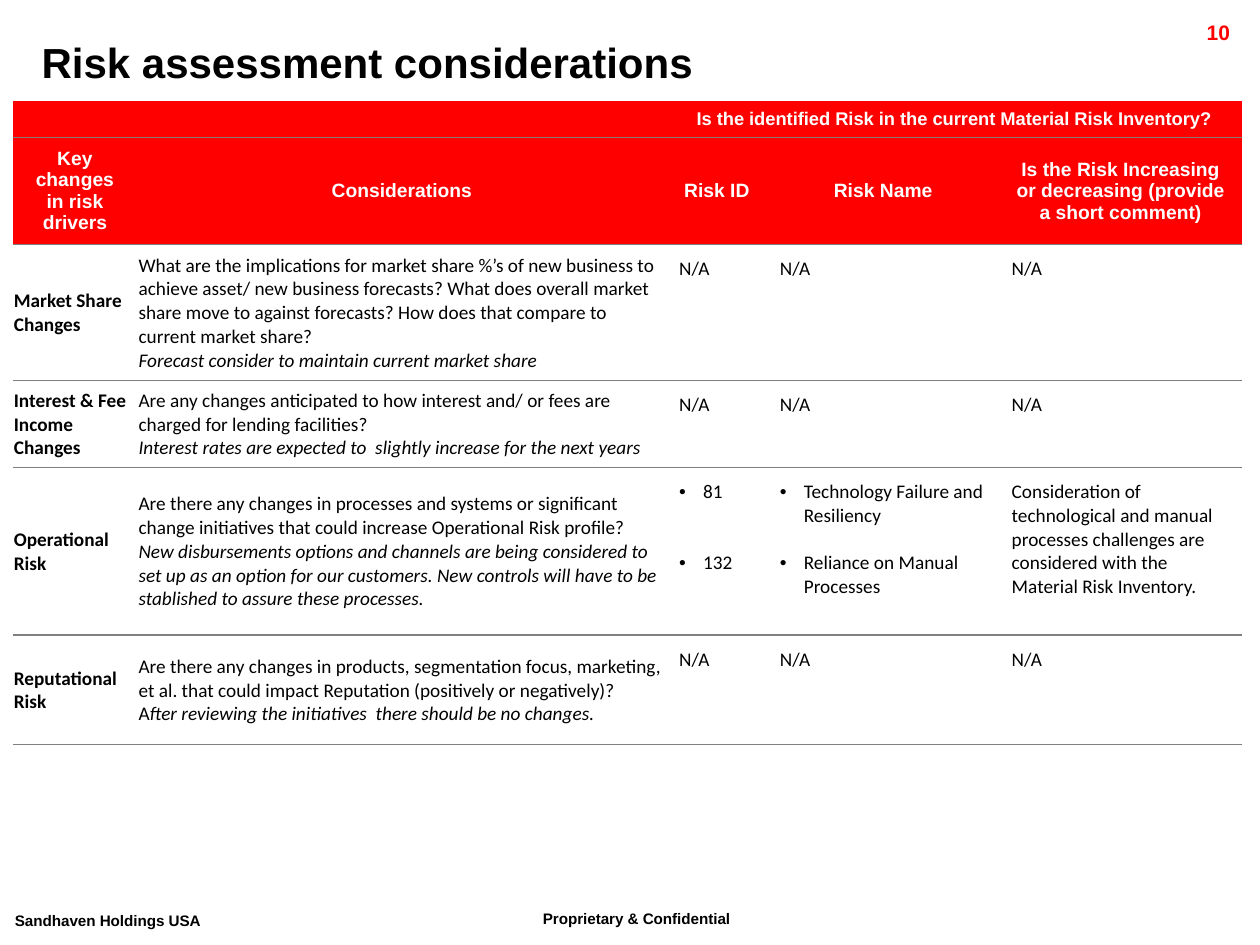
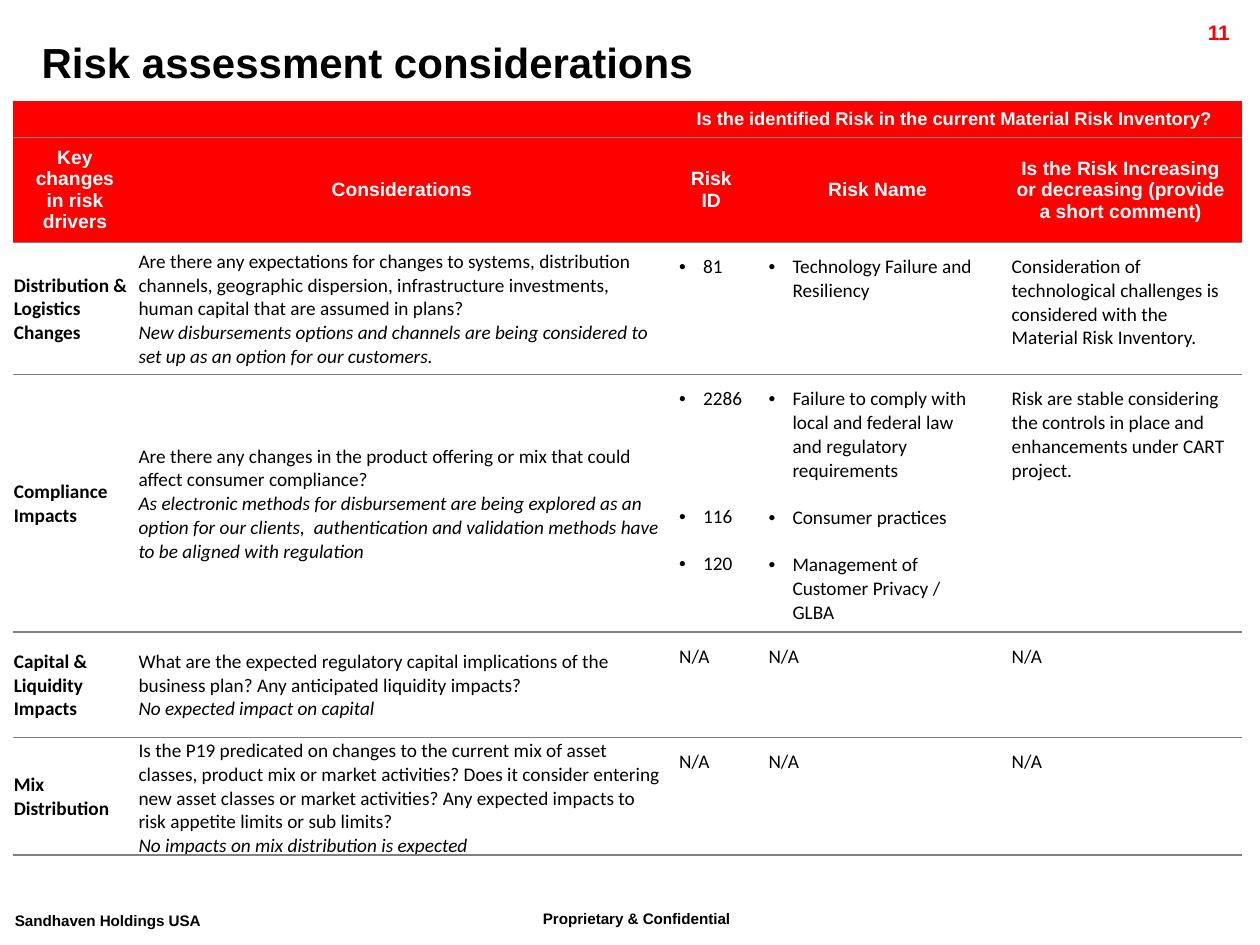
from dataclasses import dataclass

import pptx
import pptx.dml.color
import pptx.enum.text
import pptx.oxml.ns
import pptx.util
from lxml import etree

ALIGN = pptx.enum.text.PP_ALIGN
ANCHOR = pptx.enum.text.MSO_ANCHOR
inch = pptx.util.Inches
qn = pptx.oxml.ns.qn


@dataclass(frozen=True)
class Theme:
    red: str = "FF0000"
    black: str = "000000"
    white: str = "FFFFFF"
    gray: str = "808080"
    head: str = "Arial"
    body: str = "Calibri"
    title: float = 24
    page: float = 12
    foot: float = 15
    span: float = 10.5
    cell: float = 11
    line: float = 13.43
    bare: str = "{2D5ABB26-0587-4C30-8999-92F81FD0307C}"


T = Theme()
WIDE, HIGH = 10, 7.5
LEFT, TOP = 0.1, 0.8
DRIVER, ASK, PAIR, TREND = 0.99, 4.2, 2.64, 1.93
INDENT = 0.19
TIGHT = (0.01, 0.01, 0.01, 0)
LOOSE = (0.1, 0.1, 0.1, 0.1)
BASIC = (0.1, 0.05, 0.1, 0.05)

TITLE = "Risk assessment considerations"
FEET = [
    ("Proprietary & Confidential", (4.21, 7.14, 2.18, 0.35), True),
    ("Sandhaven Holdings USA", (0.02, 7.16, 1.91, 0.35), False),
]
SPAN = "Is the identified Risk in the current Material Risk Inventory?"
HEADS = [
    "Key changes in risk drivers",
    "Considerations",
    "Risk ID",
    "Risk Name",
    "Is the Risk Increasing or decreasing (provide a short comment)",
]
NONE = ["N/A"] * 3

PAGES = [
    {
        "page": "10",
        "id": 0.8,
        "rows": [0.29, 0.85, 1.08, 0.69, 1.33, 0.87],
        "risks": [
            ("Market Share Changes",
             "What are the implications for market share %’s of new business to achieve asset/ new business "
             "forecasts? What does overall market share move to against forecasts? How does that compare to "
             "current market share?",
             "Forecast consider to maintain current market share", NONE),
            ("Interest & Fee Income Changes",
             "Are any changes anticipated to how interest and/ or fees are charged for lending facilities?",
             "Interest rates are expected to  slightly increase for the next years", NONE),
            ("Operational Risk",
             "Are there any changes in processes and systems or significant change initiatives that could "
             "increase Operational Risk profile?",
             "New disbursements options and channels are being considered to set up as an option for our "
             "customers. New controls will have to be stablished to assure these processes.",
             [[("81", 0), ("132", 2)],
              [("Technology Failure and Resiliency", 0), ("Reliance on Manual Processes", 1)],
              "Consideration of technological and manual processes challenges are considered with the "
              "Material Risk Inventory."]),
            ("Reputational Risk",
             "Are there any changes in products, segmentation focus, marketing, et al. that could impact "
             "Reputation (positively or negatively)?",
             "A|fter reviewing the initiatives  there should be no changes.", NONE),
        ],
    },
    {
        "page": "11",
        "id": 0.71,
        "rows": [0.29, 0.83, 1.05, 2.04, 0.84, 0.93],
        "risks": [
            ("Distribution & Logistics Changes",
             "Are there any expectations for changes to systems, distribution channels, geographic "
             "dispersion, infrastructure investments, human capital that are assumed in plans?",
             "New disbursements options and channels are being considered to set up as an option for our "
             "customers.",
             [[("81", 0)], [("Technology Failure and Resiliency", 0)],
              "Consideration of technological challenges is considered with the Material Risk Inventory."]),
            ("Compliance Impacts",
             "Are there any changes in the product offering or mix that could affect consumer compliance?",
             "As electronic methods for disbursement are being explored as an option for our clients,  "
             "authentication and validation methods have to be aligned with regulation",
             [[("2286", 0), ("116", 4), ("120", 1)],
              [("Failure to comply with local and federal law and regulatory requirements", 0),
               ("Consumer practices", 1), ("Management of Customer Privacy / GLBA", 1)],
              "Risk are stable considering the controls in place and enhancements under CART project."]),
            ("Capital & Liquidity Impacts",
             "What are the expected regulatory capital implications of the business plan? Any anticipated "
             "liquidity impacts?",
             "No expected impact on capital", NONE),
            ("Mix Distribution",
             "Is the P19 predicated on changes to the current mix of asset classes, product mix or market "
             "activities? Does it consider entering new asset classes or market activities? Any expected "
             "impacts to risk appetite limits or sub limits?",
             "No impacts on mix distribution is expected", NONE),
        ],
    },
]


def tint(code):
    return pptx.dml.color.RGBColor.from_string(code)


def place(shape, box):
    shape.left, shape.top, shape.width, shape.height = map(inch, box)


def pad(item, sides):
    item.margin_left, item.margin_top, item.margin_right, item.margin_bottom = map(inch, sides)


def write(frame, text, size=T.cell, font=T.body, color=T.black, bold=False, slant=False,
          align=ALIGN.LEFT, gap=0, bullet=False, lift=0):
    para = frame.add_paragraph() if frame.text else frame.paragraphs[0]
    if bullet:
        props = para._p.get_or_add_pPr()
        props.set("marL", str(inch(INDENT)))
        props.set("indent", str(-inch(INDENT)))
        etree.SubElement(props, qn("a:buFont")).set("typeface", T.head)
        etree.SubElement(props, qn("a:buChar")).set("char", "•")
    para.alignment = align
    if gap:
        para.space_before = pptx.util.Pt(gap * T.line)
    parts = text.split("|")
    for part in parts:
        run = para.add_run()
        run.text = part
        style = run.font
        style.size, style.name, style.bold = pptx.util.Pt(size), font, bold
        style.italic = slant and part is parts[-1]
        style.color.rgb = tint(color)
        if lift:
            style._element.set("baseline", str(lift * 1000))


def label(slide, text, box, wrap=True, **look):
    shape = slide.shapes.add_textbox(*map(inch, box))
    shape.text_frame.word_wrap = wrap
    write(shape.text_frame, text, font=T.head, bold=True, **look)


def dress(cell, fill, sides, anchor):
    line = etree.SubElement(cell._tc.get_or_add_tcPr(), qn("a:lnB"), w=str(pptx.util.Pt(1)))
    paint = etree.SubElement(line, qn("a:solidFill"))
    etree.SubElement(paint, qn("a:srgbClr")).set("val", T.gray)
    cell.fill.solid()
    cell.fill.fore_color.rgb = tint(fill)
    pad(cell, sides)
    cell.vertical_anchor = anchor


def header(grid):
    for row in range(2):
        for col in range(len(HEADS)):
            dress(grid.cell(row, col), T.red, BASIC, ANCHOR.MIDDLE)
    look = dict(font=T.head, color=T.white, bold=True, align=ALIGN.CENTER)
    for col, text in enumerate(HEADS):
        blank = grid.cell(0, col).text_frame.paragraphs[0]
        if col != 2:
            etree.SubElement(blank._p, qn("a:endParaRPr")).set("sz", str(int(T.span * 100)))
        write(grid.cell(1, col).text_frame, text, **look)
    write(grid.cell(0, 2).text_frame, SPAN, size=T.span, **look)
    grid.cell(0, 0).merge(grid.cell(0, 1))
    grid.cell(0, 2).merge(grid.cell(0, 4))


def fill(grid, row, risk):
    driver, ask, reply, notes = risk
    for col in range(len(HEADS)):
        lead = col < 2
        dress(grid.cell(row, col), T.white, TIGHT if lead else LOOSE,
              ANCHOR.MIDDLE if lead else ANCHOR.TOP)
    write(grid.cell(row, 0).text_frame, driver, bold=True)
    write(grid.cell(row, 1).text_frame, ask)
    write(grid.cell(row, 1).text_frame, reply, slant=True)
    for col, note in enumerate(notes, 2):
        frame = grid.cell(row, col).text_frame
        if isinstance(note, str):
            write(frame, note)
        else:
            for text, gap in note:
                write(frame, text, gap=gap, bullet=True)


def table(slide, data):
    cols = [DRIVER, ASK, data["id"], PAIR - data["id"], TREND]
    rows = data["rows"]
    shape = slide.shapes.add_table(len(rows), len(cols), inch(LEFT), inch(TOP),
                                   inch(sum(cols)), inch(sum(rows)))
    grid = shape.table
    grid._tbl.tblPr.find(qn("a:tableStyleId")).text = T.bare
    grid.horz_banding = False
    for col, wide in zip(grid.columns, cols):
        col.width = inch(wide)
    for row, high in zip(grid.rows, rows):
        row.height = inch(high)
    header(grid)
    for row, risk in enumerate(data["risks"], 2):
        fill(grid, row, risk)


def build(deck, data):
    slide = deck.slides.add_slide(deck.slide_layouts[5])
    title = slide.shapes.title
    place(title, (0.23, 0.24, 9.82, 0.5))
    frame = title.text_frame
    frame.word_wrap = True
    frame.auto_size = pptx.enum.text.MSO_AUTO_SIZE.NONE
    frame.vertical_anchor = ANCHOR.MIDDLE
    pad(frame, BASIC)
    write(frame, TITLE, size=T.title, font=T.head, bold=True)
    for text, box, wrap in FEET:
        label(slide, text, box, wrap, size=T.foot, lift=30)
    label(slide, data["page"], (8.91, 0.11, 0.95, 0.24), size=T.page, color=T.red, align=ALIGN.RIGHT)
    table(slide, data)


def main():
    deck = pptx.Presentation()
    deck.slide_width, deck.slide_height = inch(WIDE), inch(HIGH)
    for data in PAGES:
        build(deck, data)
    deck.save("out.pptx")


if __name__ == "__main__":
    main()
